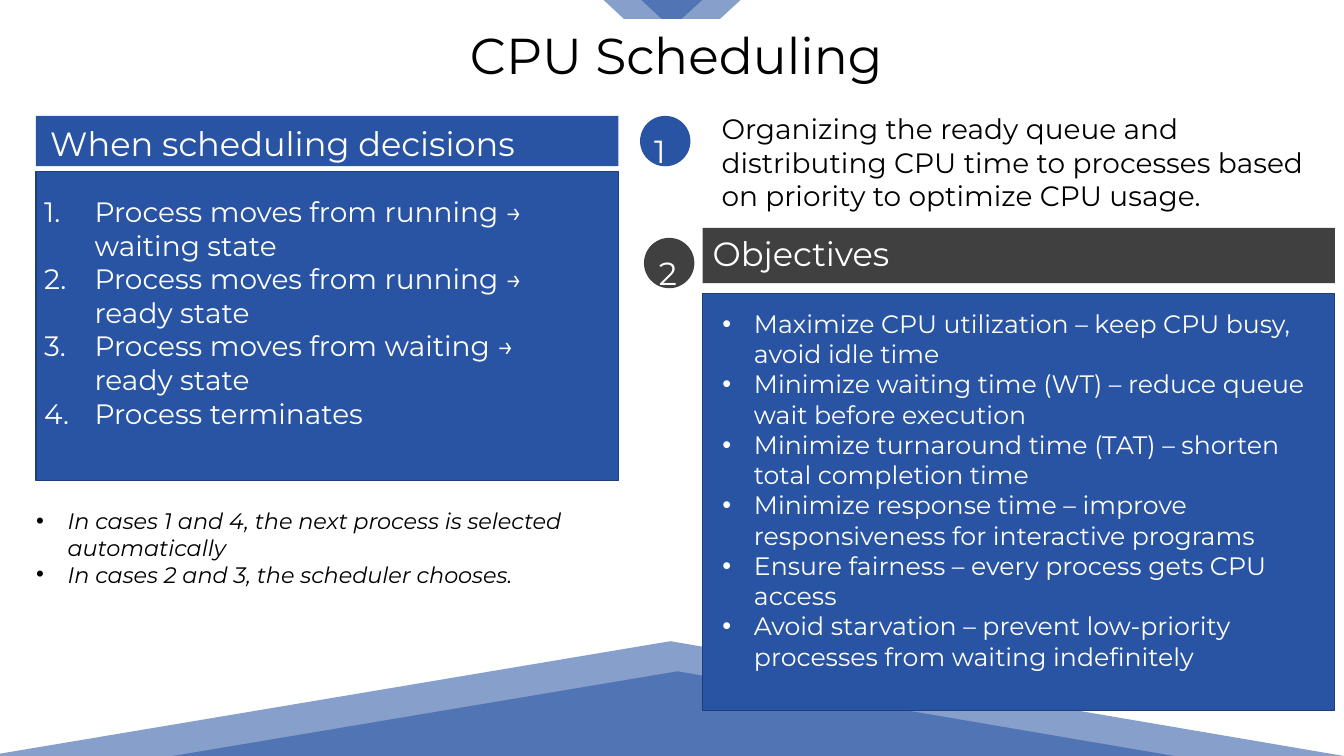
from lxml import etree
from pptx import Presentation
from pptx.dml.color import RGBColor
from pptx.enum.shapes import MSO_SHAPE
from pptx.enum.text import MSO_ANCHOR, PP_ALIGN
from pptx.oxml.ns import qn
from pptx.util import Pt

RECT, OVAL = MSO_SHAPE.RECTANGLE, MSO_SHAPE.OVAL
TRIANGLE = MSO_SHAPE.ISOSCELES_TRIANGLE
TOP, LEFT, CENTER = MSO_ANCHOR.TOP, PP_ALIGN.LEFT, PP_ALIGN.CENTER

# Content
TITLE = "CPU Scheduling"
DECISIONS_HEADING = "When scheduling decisions"
DECISIONS = [
    "Process moves from running → waiting state",
    "Process moves from running → ready state",
    "Process moves from waiting → ready state",
    "Process terminates",
]
CASES = [
    "In cases 1 and 4, the next process is selected automatically",
    "In cases 2 and 3, the scheduler chooses.",
]
DEFINITION = ("Organizing the ready queue and distributing CPU time to processes "
              "based on priority to optimize CPU usage.")
OBJECTIVES_HEADING = "Objectives"
OBJECTIVES = [
    "Maximize CPU utilization – keep CPU busy, avoid idle time",
    "Minimize waiting time (WT) – reduce queue wait before execution",
    "Minimize turnaround time (TAT) – shorten total completion time",
    "Minimize response time – improve responsiveness for interactive programs",
    "Ensure fairness – every process gets CPU access",
    "Avoid starvation – prevent low-priority processes from waiting indefinitely",
]

# Style
FONT = "Montserrat"
COLORS = {"blue": "2954A3", "navy": "1E3E79", "gray": "404040",
          "white": "FFFFFF", "black": "000000"}

# Layout in points: left, top, width, height
SLIDE_W, SLIDE_H = 960, 540
PEAK_W, PEAK_H = 970, 82
NOTCH_W, NOTCH_H = 157, 72.7
PEAKS = [(-5, 479.5), (-10, 458)]
NOTCHES = [(401.8, -27.4), (401.8, -52.6)]
LEFT_X, LEFT_W = 25.7, 416
RIGHT_X, RIGHT_W = 502, 451.5
BADGE = 36
BADGES = [  # number, left, top, color, text offset, text width
    ("1", 457.2, 82.8, "blue", 2.9, 23),
    ("2", 460, 169.9, "gray", 3.6, 28),
]


def rgb(name):
    return RGBColor.from_string(COLORS[name])


def add_block(kind, box, color, line=None):
    block = slide.shapes.add_shape(kind, *map(Pt, box))
    block.shadow.inherit = False
    block.fill.solid()
    block.fill.fore_color.rgb = rgb(color)
    if line:
        block.line.color.rgb = rgb(line)
        block.line.width = Pt(1)
    else:
        block.line.fill.background()
    return block


def add_triangle(box, rotation=0):
    triangle = add_block(TRIANGLE, box, "blue")
    triangle.adjustments[0] = 0.504
    triangle.rotation = rotation
    color = triangle.fill._xPr.find(qn("a:solidFill"))[0]
    etree.SubElement(color, qn("a:alpha"), val="56000")


def write(frame, lines, size, color, align=LEFT, italic=False, spacing=None,
          bullet=None, indent=0):
    frame.word_wrap = True
    frame.vertical_anchor = TOP
    frame.text = "\n".join(lines)
    for paragraph in frame.paragraphs:
        paragraph.alignment = align
        if spacing:
            paragraph.line_spacing = spacing
        if bullet:
            props = paragraph._p.get_or_add_pPr()
            props.set("marL", str(Pt(indent)))
            props.set("indent", str(-Pt(indent)))
            if bullet == "•":
                etree.SubElement(props, qn("a:buFont"), typeface="Arial")
                etree.SubElement(props, qn("a:buChar"), char=bullet)
            else:
                etree.SubElement(props, qn("a:buFont"), typeface="+mj-lt")
                etree.SubElement(props, qn("a:buAutoNum"), type=bullet)
        for run in paragraph.runs:
            run.font.name = FONT
            run.font.size = Pt(size)
            run.font.italic = italic
            run.font.color.rgb = rgb(color)


def add_text(box, lines, size, color, **style):
    textbox = slide.shapes.add_textbox(*map(Pt, box))
    write(textbox.text_frame, lines, size, color, **style)


prs = Presentation()
prs.slide_width, prs.slide_height = Pt(SLIDE_W), Pt(SLIDE_H)
slide = prs.slides.add_slide(prs.slide_layouts[6])

# Background triangles
for x, y in PEAKS:
    add_triangle((x, y, PEAK_W, PEAK_H))
for x, y in NOTCHES:
    add_triangle((x, y, NOTCH_W, NOTCH_H), rotation=180)

# Title
title = add_block(RECT, (307.4, 13.7, 351.4, 51), "white")
write(title.text_frame, [TITLE], 36, "black", align=CENTER)

# Numbered badges
for number, x, y, color, offset, width in BADGES:
    add_block(OVAL, (x, y, BADGE, BADGE), color)
    add_text((x + offset, y + 2.5, width, 37.5), [number], 22.8, "white", spacing=1.2)

# Scheduling decisions
add_block(RECT, (LEFT_X, 82.8, LEFT_W, 36), "blue")
add_text((28.8, 84.3, 412.5, 37), [DECISIONS_HEADING], 24, "white")
add_block(RECT, (LEFT_X, 122.4, LEFT_W, 221), "blue", "navy")
add_text((24.5, 135.4, 407.5, 177), DECISIONS, 20, "white",
         bullet="arabicPeriod", indent=36)
add_text((18.7, 358.6, 423.4, 65.5), CASES, 16, "black", italic=True,
         bullet="•", indent=22.5)

# Definition and objectives
add_text((508.3, 76.3, 442.8, 80), [DEFINITION], 20, "black")
add_block(RECT, (RIGHT_X, 162.7, RIGHT_W, 39.6), "gray")
add_text((RIGHT_X, 162.7, 162.7, 40.3), [OBJECTIVES_HEADING], 24, "white")
add_block(RECT, (RIGHT_X, 209.5, RIGHT_W, 298), "blue", "navy")
add_text((509, 216.7, 437, 269.3), OBJECTIVES, 18, "white", bullet="•", indent=22.5)

prs.save("out.pptx")
